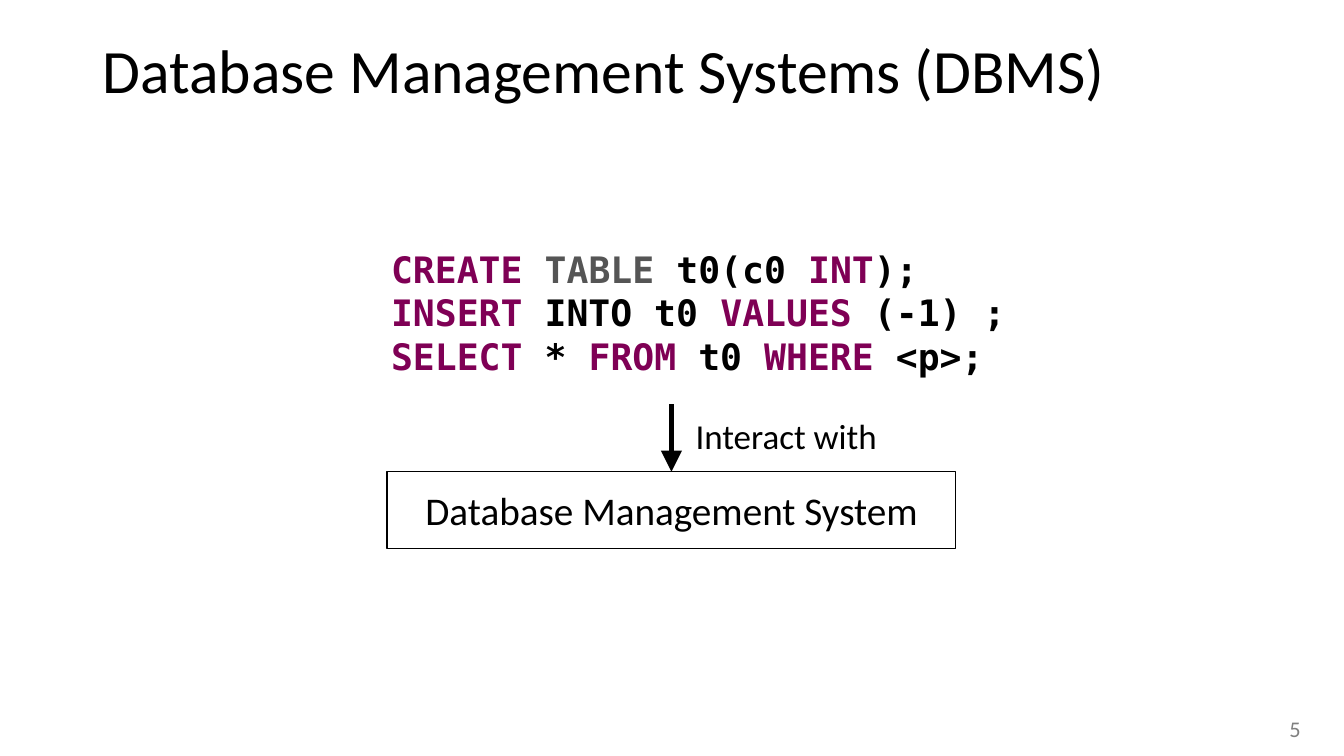
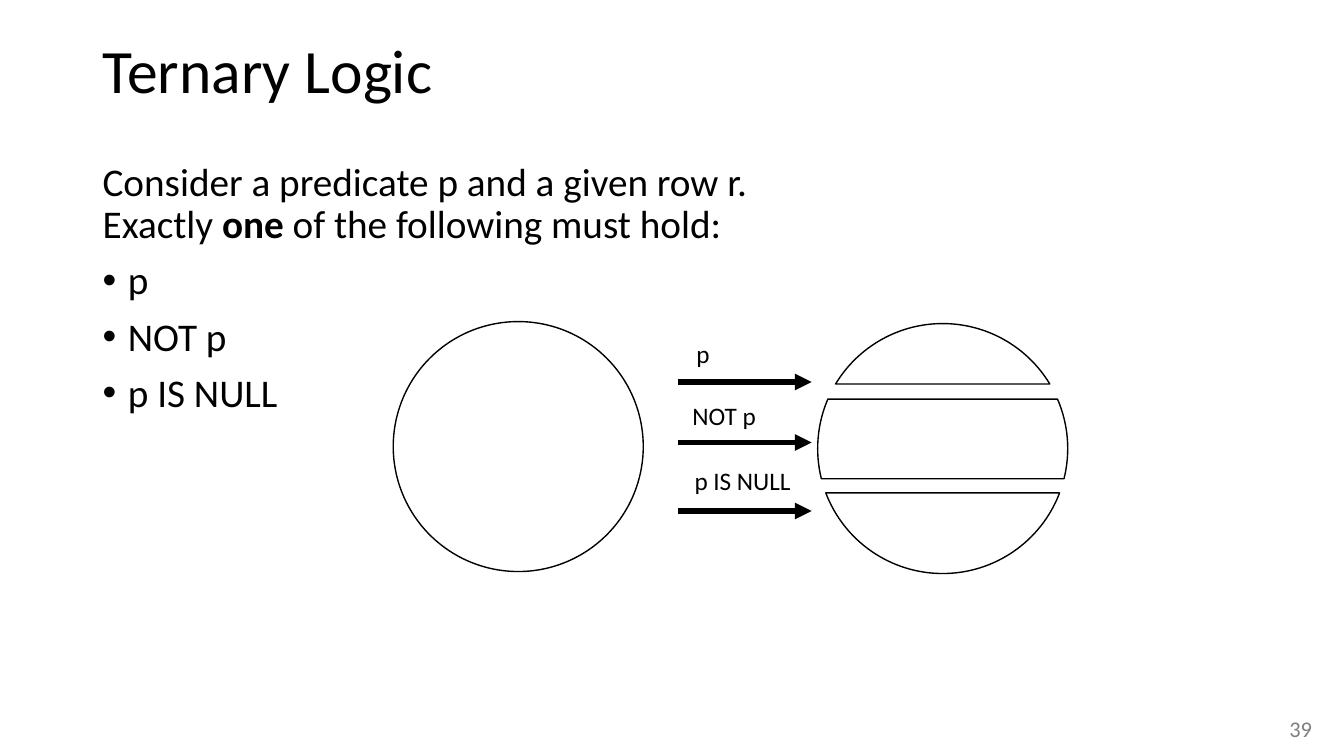
"""Build two slides on database management systems and ternary logic."""
from math import asin, cos, pi, sin, tan

from lxml import etree
from pptx import Presentation
from pptx.dml.color import RGBColor
from pptx.enum.shapes import MSO_CONNECTOR, MSO_SHAPE
from pptx.enum.text import MSO_ANCHOR, PP_ALIGN
from pptx.oxml.ns import qn
from pptx.util import Inches, Pt

BLACK = RGBColor(0x00, 0x00, 0x00)
WHITE = RGBColor(0xFF, 0xFF, 0xFF)
GRAY = RGBColor(0x80, 0x80, 0x80)
CODE_GRAY = RGBColor(0x55, 0x55, 0x55)
KEYWORD = RGBColor(0x7F, 0x00, 0x55)

STRAIGHT = MSO_CONNECTOR.STRAIGHT
RECT, OVAL = MSO_SHAPE.RECTANGLE, MSO_SHAPE.OVAL
TOP, MIDDLE = MSO_ANCHOR.TOP, MSO_ANCHOR.MIDDLE
CENTER = PP_ALIGN.CENTER

SANS = {"name": "Calibri", "color": BLACK}
TITLE = {**SANS, "size": 44}
BODY = {**SANS, "size": 28}
BOLD = {**BODY, "bold": True}
CAPTION = {**SANS, "size": 25}
LABEL = {**SANS, "size": 18}
NUMBER = {**SANS, "size": 16, "color": GRAY}
CODE = {"name": "DejaVu Sans Mono", "size": 26, "bold": True, "color": BLACK}
KEY = {**CODE, "color": KEYWORD}
DIM = {**CODE, "color": CODE_GRAY}

CODE_LINES = [
    [("CREATE ", KEY), ("TABLE", DIM), (" t0(c0 ", CODE), ("INT", KEY), (");", CODE)],
    [("INSERT", KEY), (" INTO t0 ", CODE), ("VALUES", KEY), (" (-1) ;", CODE)],
    [("SELECT", KEY), (" * ", CODE), ("FROM", KEY), (" t0 ", CODE),
     ("WHERE", KEY), (" <p>;", CODE)],
]
OUTCOMES = ["p", "NOT p", "p IS NULL"]


def add_run(p, text, fmt):
    r = p.add_run()
    r.text = text
    for key, value in fmt.items():
        if key == "color":
            r.font.color.rgb = value
        else:
            setattr(r.font, key, Pt(value) if key == "size" else value)


def add_paragraph(tf, first, runs, **fmt):
    p = tf.paragraphs[0] if first else tf.add_paragraph()
    for key, value in fmt.items():
        setattr(p, key, value)
    for text, run_fmt in runs:
        if text == "\n":
            p.add_line_break()
        else:
            add_run(p, text, run_fmt)
    return p


def add_bullet(p):
    pPr = p._p.get_or_add_pPr()
    pPr.set("marL", str(Inches(0.25)))
    pPr.set("indent", str(Inches(-0.25)))
    etree.SubElement(pPr, qn("a:buFont")).set("typeface", "Arial")
    etree.SubElement(pPr, qn("a:buChar")).set("char", "•")


def add_text(s, box, lines, wrap=True, anchor=TOP, **fmt):
    tf = s.shapes.add_textbox(*map(Inches, box)).text_frame
    tf.word_wrap = wrap
    tf.vertical_anchor = anchor
    for i, runs in enumerate(lines):
        add_paragraph(tf, i == 0, runs, **fmt)
    return tf


def style_shape(sp):
    sp.shadow.inherit = False
    sp.fill.solid()
    sp.fill.fore_color.rgb = WHITE
    sp.line.color.rgb = BLACK
    sp.line.width = Pt(1)


def add_shape(s, kind, box):
    sp = s.shapes.add_shape(kind, *map(Inches, box))
    style_shape(sp)
    return sp


def add_arrow(s, start, end, width, head="med"):
    arrow = s.shapes.add_connector(STRAIGHT, *map(Inches, start + end))
    arrow.line.color.rgb = BLACK
    arrow.line.width = Pt(width)
    tail = etree.SubElement(arrow.line._get_or_add_ln(), qn("a:tailEnd"))
    for key, value in {"type": "triangle", "w": head, "len": head}.items():
        tail.set(key, value)
    etree.SubElement(arrow._element.spPr, qn("a:effectLst"))
    return arrow


def arc_points(cx, cy, radius, angles):
    def point(t, pull=0):
        return (Inches(cx + radius * (cos(t) - pull * sin(t))),
                Inches(cy + radius * (sin(t) + pull * cos(t))))

    points = [point(angles[0])]
    for a, b in zip(angles, angles[1:]):
        pull = 4 / 3 * tan((b - a) / 4)
        points += [point(a, pull), point(b, -pull), point(b)]
    return points


def bend_segments(sp, sizes):
    segments = iter(list(sp._element.iter(qn("a:lnTo"))))
    for size in sizes:
        group = [next(segments) for _ in range(size)]
        if size == 3:
            curve = etree.Element(qn("a:cubicBezTo"))
            group[0].addprevious(curve)
            for segment in group:
                curve.append(segment[0])
                segment.getparent().remove(segment)


def add_sliced_circle(s, cx, cy, radius, cuts):
    a, b, c, d = (asin((y - cy) / radius) for y in cuts)
    slices = [
        [(-pi - a, -pi / 2, a)],
        [(b, 0, c), (pi - c, pi, pi - b)],
        [(d, pi / 2, pi - d)],
    ]
    builder, sizes = None, []
    for arcs in slices:
        points = []
        for arc in arcs:
            sizes += [1, 3, 3] if points else [3, 3]
            points += arc_points(cx, cy, radius, arc)
        if builder:
            builder.move_to(*points[0])
        else:
            builder = s.shapes.build_freeform(*points[0])
        builder.add_line_segments(points[1:], close=True)
    sp = builder.convert_to_shape()
    bend_segments(sp, sizes)
    style_shape(sp)


def add_slide(prs, title, number):
    s = prs.slides.add_slide(prs.slide_layouts[6])
    add_text(s, (0.92, 0.15, 11.5, 1.16), [[(title, TITLE)]], anchor=MIDDLE, line_spacing=0.9)
    add_text(s, (12.69, 7.05, 0.64, 0.4), [[(str(number), NUMBER)]])
    return s


def build_dbms(prs):
    s = add_slide(prs, "Database Management Systems (DBMS)", 5)
    system = add_shape(s, RECT, (3.84, 4.68, 5.64, 0.76))
    system.text_frame.vertical_anchor = MIDDLE
    add_paragraph(system.text_frame, True, [("Database Management System", BODY)],
                  alignment=CENTER)
    add_arrow(s, (6.66, 4.01), (6.66, 4.68), 3, "lg").end_connect(system, 0)
    add_text(s, (6.8, 4.06, 2.09, 0.52), [[("Interact with", CAPTION)]])
    add_text(s, (3.78, 2.4, 9.55, 1.85), CODE_LINES)


def build_ternary_logic(prs):
    s = add_slide(prs, "Ternary Logic", 39)
    intro = [("Consider a predicate p and a given row r.", BODY), ("\n", BODY),
             ("Exactly ", BODY), ("one", BOLD), (" of the following must hold:", BODY)]
    tf = add_text(s, (0.92, 1.56, 11.5, 5.15), [intro], line_spacing=0.9)
    for outcome in OUTCOMES:
        add_bullet(add_paragraph(tf, False, [(outcome, BODY)],
                                 line_spacing=0.9, space_before=Pt(10)))

    add_shape(s, OVAL, (3.9, 3.19, 2.48, 2.48))
    label_boxes = [(6.81, 3.31, 0.34, 0.4), (6.77, 3.92, 0.87, 0.4), (6.79, 4.57, 1.2, 0.4)]
    for outcome, box, y in zip(OUTCOMES, label_boxes, (3.79, 4.39, 5.07)):
        add_text(s, box, [[(outcome, LABEL)]], wrap=False)
        add_arrow(s, (6.72, y), (8.05, y), 4)
    add_sliced_circle(s, 9.35, 4.45, 1.24, (3.81, 3.96, 4.75, 4.89))


def main():
    prs = Presentation()
    prs.slide_width, prs.slide_height = Inches(13.33), Inches(7.5)
    build_dbms(prs)
    build_ternary_logic(prs)
    prs.save("out.pptx")


if __name__ == "__main__":
    main()
